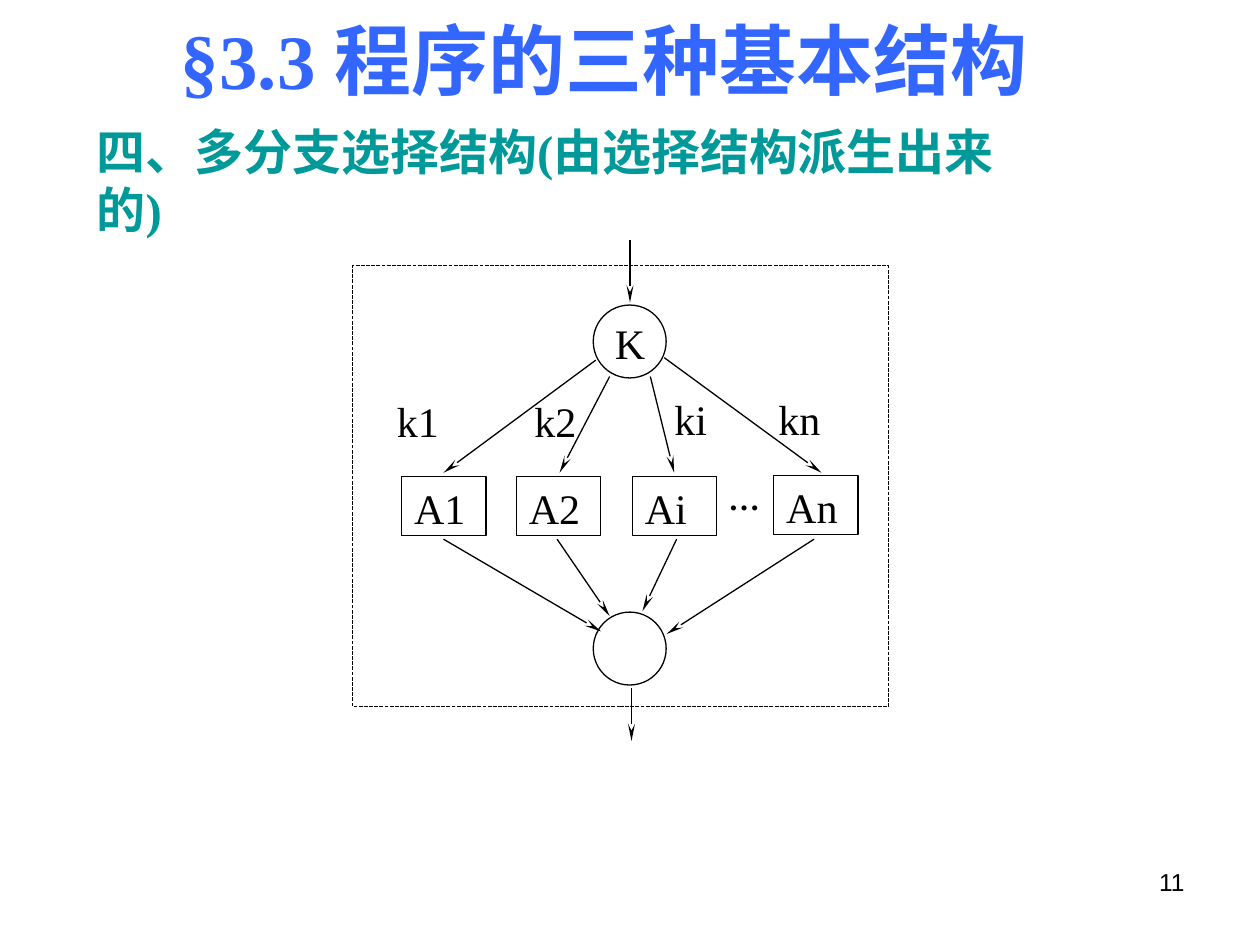
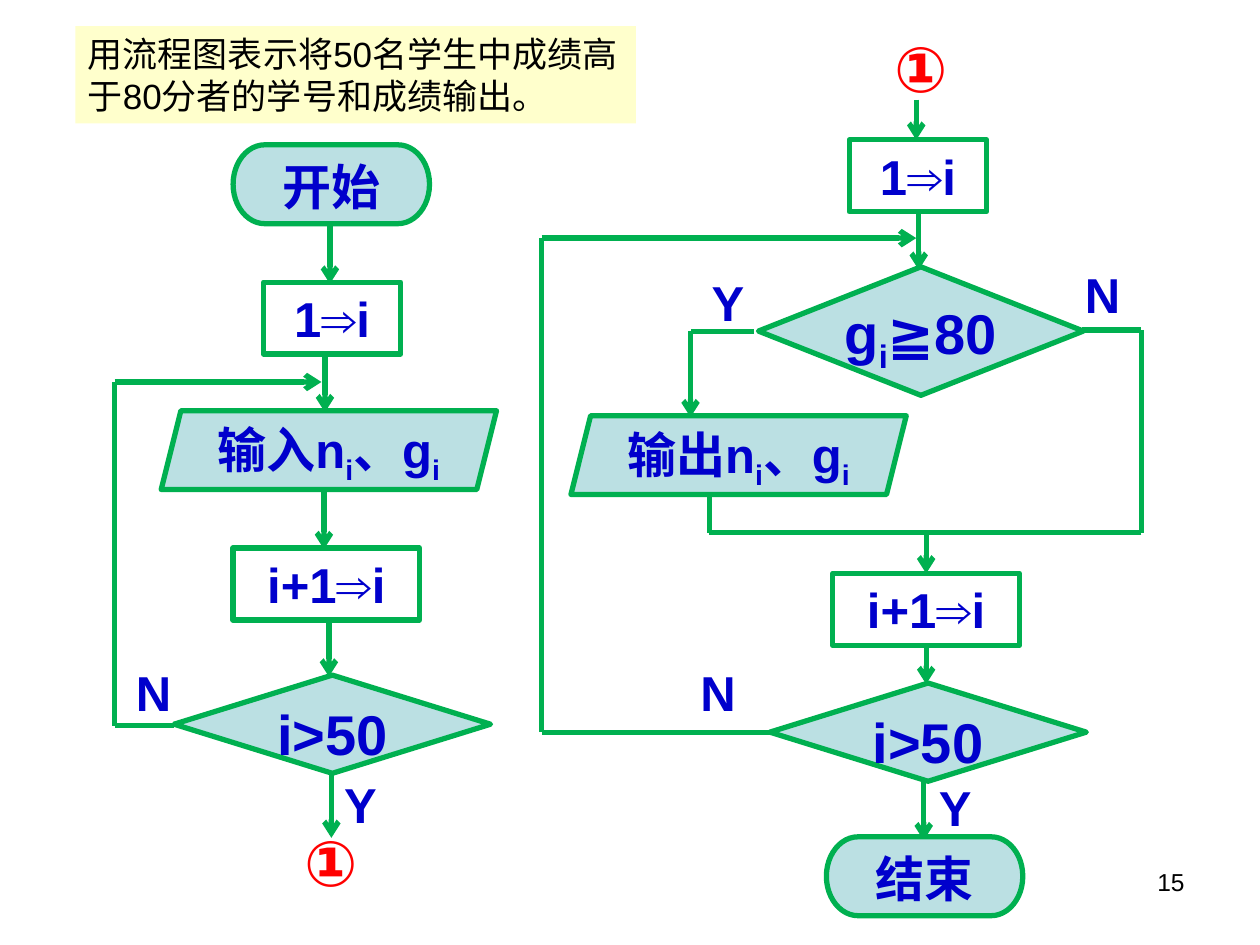
import lxml.etree
import pptx
import pptx.dml.color
import pptx.enum.dml
import pptx.enum.shapes
import pptx.enum.text
import pptx.oxml.ns
import pptx.util

Cm = pptx.util.Cm
SHAPES = pptx.enum.shapes.MSO_SHAPE
ALIGN = pptx.enum.text.PP_ALIGN

COLORS = {
    "black": "000000", "title": "3366FF", "heading": "009999",
    "flow": "00B050", "flow_fill": "BBE0E3", "flow_text": "0000CC",
    "note": "FFFFCC", "link": "FF0000",
}
SERIF, SANS = "Times New Roman", "Arial"
FLOW_TEXT = dict(size=28, color="flow_text", bold=True, align=ALIGN.CENTER)
SERIF_TEXT = dict(size=24, font=SERIF)
LABEL_TEXT = dict(SERIF_TEXT, align=ALIGN.CENTER, inset=(0, 0.13))


def rgb(name):
    return pptx.dml.color.RGBColor.from_string(COLORS[name])


def write_text(box, text, size=28, font=SANS, color="black", bold=False,
               align=ALIGN.LEFT, inset=(0.25, 0.13), wrap=True):
    """Fill a box with one paragraph; the letter after "_" is a subscript."""
    frame = box.text_frame
    frame.word_wrap = wrap
    frame.vertical_anchor = pptx.enum.text.MSO_ANCHOR.TOP
    frame.margin_left = frame.margin_right = Cm(inset[0])
    frame.margin_top = frame.margin_bottom = Cm(inset[1])
    para = frame.paragraphs[0]
    para.alignment = align
    first, *rest = text.split("_")
    pieces = [(first, False)]
    for part in rest:
        pieces += [(part[0], True), (part[1:], False)]
    for piece, lowered in pieces:
        if not piece:
            continue
        span = para.add_run()
        span.text = piece
        span.font.size = pptx.util.Pt(size)
        span.font.name = font
        span.font.bold = bold
        span.font.color.rgb = rgb(color)
        if lowered:
            span._r.get_or_add_rPr().set("baseline", "-25000")


class Painter:
    """Holds the deck, the current page and its line style."""

    def __init__(self):
        self.deck = pptx.Presentation()
        self.deck.slide_width, self.deck.slide_height = Cm(25.4), Cm(19.05)

    def new_page(self, number, line, width, head):
        self.page = self.deck.slides.add_slide(self.deck.slide_layouts[6])
        self.line, self.width, self.head = line, pptx.util.Pt(width), head
        self.text(18.21, 17.35, 5.92, 1.32, str(number), size=14, align=ALIGN.RIGHT)

    def text(self, x, y, w, h, text, **style):
        box = self.page.shapes.add_textbox(Cm(x), Cm(y), Cm(w), Cm(h))
        write_text(box, text, **style)

    def shape(self, kind, x, y, w, h, text="", fill=None, outlined=True, **style):
        shape = self.page.shapes.add_shape(kind, Cm(x), Cm(y), Cm(w), Cm(h))
        shape.shadow.inherit = False
        if fill:
            shape.fill.solid()
            shape.fill.fore_color.rgb = rgb(fill)
        else:
            shape.fill.background()
        if outlined:
            shape.line.color.rgb = rgb(self.line)
            shape.line.width = self.width
        else:
            shape.line.fill.background()
        if text:
            write_text(shape, text, **style)
        return shape

    def route(self, *points, arrow=True):
        """Join the points by straight lines, with a head on the last one."""
        for start, end in zip(points, points[1:]):
            link = self.page.shapes.add_connector(
                pptx.enum.shapes.MSO_CONNECTOR.STRAIGHT,
                *(Cm(value) for value in start + end))
            link.line.color.rgb = rgb(self.line)
            link.line.width = self.width
            lxml.etree.SubElement(link._element.spPr, pptx.oxml.ns.qn("a:effectLst"))
        if arrow:
            tail = lxml.etree.SubElement(link.line._get_or_add_ln(),
                                         pptx.oxml.ns.qn("a:tailEnd"))
            for key, value in self.head.items():
                tail.set(key, value)

    def down(self, x, top, bottom):
        self.route((x, top), (x, bottom))

    # Flowchart symbols
    def process(self, x, y, w, text):
        self.shape(SHAPES.RECTANGLE, x, y, w, 1.45, text, **FLOW_TEXT)

    def symbol(self, kind, x, y, w, h, text, **style):
        self.shape(kind, x, y, w, h, text, fill="flow_fill", inset=(0, 0),
                   wrap=False, **dict(FLOW_TEXT, **style))

    def terminator(self, x, y, text):
        self.symbol(SHAPES.FLOWCHART_TERMINATOR, x, y, 3.96, 1.59, text)

    def data(self, x, y, text):
        self.symbol(SHAPES.PARALLELOGRAM, x, y, 6.76, 1.59, text)

    def decision(self, x, y, text, w=6.38, h=1.98):
        self.symbol(SHAPES.FLOWCHART_DECISION, x, y, w, h, text, size=32)

    def answer(self, x, y, text):
        self.text(x, y, 1.57, 1.45, text, **FLOW_TEXT)

    def junction(self, x, y):
        self.text(x, y, 1.98, 1.78, "①", **dict(FLOW_TEXT, size=36, color="link"))


def build_branch_page(painter):
    painter.new_page(11, "black", 0.75, {"type": "stealth", "w": "sm", "len": "lg"})
    painter.text(2.69, 0.13, 19, 2.13, "§3.3 程序的三种基本结构", size=44, font=SERIF,
                 color="title", bold=True, align=ALIGN.CENTER)
    painter.text(1.7, 2.31, 19.81, 2.64, "四、多分支选择结构(由选择结构派生出来的)",
                 font=SERIF, color="heading", bold=True)

    # Selector, merge point and the way in and out
    for y in (6.15, 12.34):
        painter.shape(SHAPES.OVAL, 11.96, y, 1.47, 1.47)
    painter.text(12.14, 6.27, 1.12, 1.27, "K", **LABEL_TEXT)
    painter.down(12.7, 4.83, 6.1)
    painter.down(12.73, 13.87, 14.94)

    # Branches: suffix, box corner, label corner, arrow in, arrow out
    branches = [
        ("1", (8.1, 9.6), (7.75, 7.85), (12.01, 7.26), 8.94, 8.94, (12.12, 12.73)),
        ("2", (10.41, 9.6), (10.52, 7.85), (12.29, 7.59), 11.28, 11.23, (12.29, 12.42)),
        ("i", (12.75, 9.6), (13.25, 7.8), (13.11, 7.59), 13.59, 13.64, (12.95, 12.32)),
        ("n", (15.6, 9.58), (15.44, 7.8), (13.39, 7.21), 16.56, 16.41, (13.44, 12.78)),
    ]
    for suffix, corner, label, leave, enter_x, exit_x, merge in branches:
        painter.shape(SHAPES.RECTANGLE, *corner, 1.7, 1.19, "A" + suffix, **SERIF_TEXT)
        painter.text(*label, 1.35, 1.27, "k" + suffix, **LABEL_TEXT)
        painter.route(leave, (enter_x, 9.53))
        painter.route((exit_x, 10.87), merge)
    painter.text(14.43, 9.53, 1.14, 1.02, "…", **dict(LABEL_TEXT, size=18, bold=True))

    # Dashed frame around the structure
    frame = painter.shape(SHAPES.RECTANGLE, 7.11, 5.36, 10.8, 8.89)
    frame.line.dash_style = pptx.enum.dml.MSO_LINE.SQUARE_DOT


def build_flowchart_page(painter):
    painter.new_page(15, "flow", 3, {"type": "arrow"})
    painter.shape(SHAPES.RECTANGLE, 1.52, 0.53, 11.3, 1.96,
                  "用流程图表示将50名学生中成绩高于80分者的学号和成绩输出。",
                  fill="note", outlined=False, size=20)

    # Left column: read the marks
    for x, top, bottom in [(6.65, 4.52, 5.72), (6.55, 7.14, 8.31), (6.53, 9.88, 11.07),
                           (6.63, 12.45, 13.64), (6.68, 15.62, 16.89)]:
        painter.down(x, top, bottom)
    painter.route((3.51, 14.63), (2.31, 14.63), (2.31, 7.7), (6.48, 7.7))
    painter.terminator(4.7, 2.92, "开始")
    painter.process(5.31, 5.69, 2.77, "1⇒i")
    painter.data(3.25, 8.28, "输入n_i、g_i")
    painter.process(4.7, 11.05, 3.76, "i+1⇒i")
    painter.decision(3.51, 13.61, "i>50")
    painter.junction(5.69, 16.48)

    # Right column: print the marks from 80 up
    for x, top, bottom in [(18.47, 2.01, 2.82), (18.52, 4.24, 5.44), (18.67, 10.74, 11.56),
                           (18.67, 13, 13.79), (18.62, 15.75, 16.94)]:
        painter.down(x, top, bottom)
    painter.route((15.19, 6.68), (13.92, 6.68), (13.92, 8.41))
    painter.route((21.82, 6.65), (23.01, 6.65), (23.01, 10.74), (14.3, 10.74),
                  (14.3, 9.96), arrow=False)
    painter.route((15.52, 14.76), (10.92, 14.76), (10.92, 4.8), (18.47, 4.8))
    painter.junction(17.58, 0.46)
    painter.process(17.12, 2.82, 2.77, "1⇒i")
    painter.decision(15.29, 5.38, "g_i≧80", w=6.55, h=2.59)
    painter.data(11.51, 8.38, "输出n_i、g_i")
    painter.process(16.79, 11.56, 3.76, "i+1⇒i")
    painter.decision(15.52, 13.77, "i>50")
    painter.terminator(16.66, 16.87, "结束")

    # Answers beside the decisions
    for x, y, text in [(2.31, 13.23, "N"), (6.48, 15.49, "Y"), (13.89, 5.36, "Y"),
                       (21.44, 5.21, "N"), (13.69, 13.23, "N"), (18.47, 15.54, "Y")]:
        painter.answer(x, y, text)


def main():
    painter = Painter()
    build_branch_page(painter)
    build_flowchart_page(painter)
    painter.deck.save("out.pptx")


if __name__ == "__main__":
    main()
